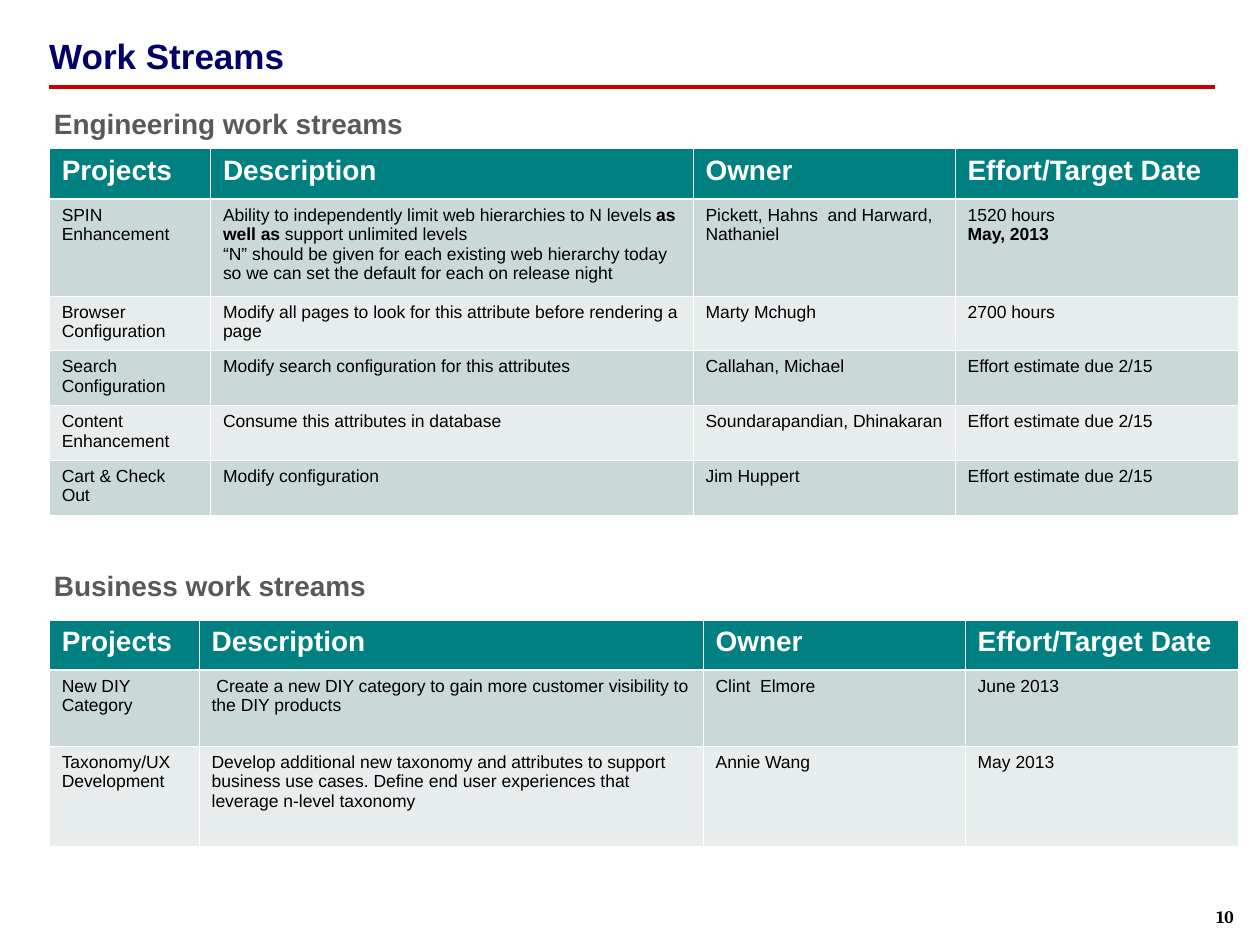
from lxml.etree import SubElement
from pptx import Presentation
from pptx.dml.color import RGBColor
from pptx.enum.shapes import MSO_CONNECTOR
from pptx.enum.text import MSO_ANCHOR, PP_ALIGN
from pptx.oxml.ns import qn
from pptx.util import Inches, Pt

NAVY = RGBColor(0x00, 0x00, 0x66)
RED = RGBColor(0xCC, 0x00, 0x00)
GRAY = RGBColor(0x59, 0x59, 0x59)
TEAL = RGBColor(0x00, 0x80, 0x80)
BAND_DARK = RGBColor(0xCB, 0xD8, 0xD8)
BAND_LIGHT = RGBColor(0xE7, 0xED, 0xED)
WHITE = RGBColor(0xFF, 0xFF, 0xFF)
BLACK = RGBColor(0x00, 0x00, 0x00)

THIN, THICK = 0.45, 1.47
BOLD_MARK = "**"
LEFT = 0.39
HEADERS = ["Projects", "Description", "Owner", "Effort/Target Date"]
ENGINEERING = [
    ["SPIN Enhancement",
     "Ability to independently limit web hierarchies to N levels **as well as** support unlimited levels\n"
     "“N” should be given for each existing web hierarchy today so we can set the default for each on release night",
     "Pickett, Hahns  and Harward, Nathaniel", "1520 hours\n**May, 2013**"],
    ["Browser Configuration", "Modify all pages to look for this attribute before rendering a page",
     "Marty Mchugh", "2700 hours"],
    ["Search Configuration", "Modify search configuration for this attributes",
     "Callahan, Michael", "Effort estimate due 2/15"],
    ["Content Enhancement", "Consume this attributes in database",
     "Soundarapandian, Dhinakaran", "Effort estimate due 2/15"],
    ["Cart & Check Out", "Modify configuration", "Jim Huppert", "Effort estimate due 2/15"],
]
BUSINESS = [
    ["New DIY Category",
     " Create a new DIY category to gain more customer visibility to the DIY products",
     "Clint  Elmore", "June 2013"],
    ["Taxonomy/UX Development",
     "Develop additional new taxonomy and attributes to support business use cases. "
     "Define end user experiences that leverage n-level taxonomy",
     "Annie Wang", "May 2013"],
]


def format_font(font, size, color, bold=True, name="Arial"):
    """Apply size, colour, weight and typeface to a font."""
    font.size = Pt(size)
    font.color.rgb = color
    font.bold = bold
    font.name = name


def set_text(text_frame, text, size, color, bold=True, name="Arial"):
    """Write the lines of text, with marked parts in bold."""
    text_frame.text = text.replace(BOLD_MARK, "")
    for paragraph, line in zip(text_frame.paragraphs, text.split("\n")):
        if BOLD_MARK in line:
            paragraph.text = ""
            for index, part in enumerate(line.split(BOLD_MARK)):
                if part:
                    run = paragraph.add_run()
                    run.text = part
                    format_font(run.font, size, color, index % 2 == 1, name)
        else:
            for run in paragraph.runs:
                format_font(run.font, size, color, bold, name)


def clear_margins(text_frame):
    """Remove the inner margins of a text frame."""
    text_frame.margin_left = text_frame.margin_right = 0
    text_frame.margin_top = text_frame.margin_bottom = 0


def add_title(slide, text):
    """Place the slide title in its placeholder."""
    title = slide.shapes.title
    title.left, title.top = Inches(LEFT), Inches(0.28)
    title.width, title.height = Inches(9.06), Inches(0.33)
    set_text(title.text_frame, text, 20, NAVY)
    clear_margins(title.text_frame)
    title.text_frame.vertical_anchor = MSO_ANCHOR.BOTTOM
    title.text_frame.paragraphs[0].alignment = PP_ALIGN.LEFT


def add_rule(slide):
    """Draw the red rule below the title."""
    rule = slide.shapes.add_connector(
        MSO_CONNECTOR.STRAIGHT, Inches(LEFT), Inches(0.69), Inches(9.64), Inches(0.69))
    rule.line.color.rgb = RED
    rule.line.width = Pt(2.25)
    SubElement(rule._element.spPr, qn("a:effectLst"))


def add_heading(slide, text, top):
    """Add the heading above a table."""
    heading = slide.shapes.add_textbox(Inches(0.33), Inches(top), Inches(6.42), Inches(0.37))
    heading.text_frame.word_wrap = True
    set_text(heading.text_frame, text, 16, GRAY)


def add_page_number(slide, number):
    """Add the page number in the bottom right corner."""
    box = slide.shapes.add_textbox(Inches(9.54), Inches(7.17), Inches(0.25), Inches(0.19))
    text_frame = box.text_frame
    text_frame.word_wrap = True
    clear_margins(text_frame)
    text_frame.vertical_anchor = MSO_ANCHOR.BOTTOM
    set_text(text_frame, number, 10, BLACK, name="Cambria")
    text_frame.paragraphs[0].alignment = PP_ALIGN.RIGHT


def set_borders(cell, top, bottom):
    """Give a cell white borders with the stated top and bottom widths."""
    properties = cell._tc.get_or_add_tcPr()
    for tag, width in (("a:lnL", THIN), ("a:lnR", THIN), ("a:lnT", top), ("a:lnB", bottom)):
        border = SubElement(properties, qn(tag), w=str(Pt(width)))
        fill = SubElement(border, qn("a:solidFill"))
        SubElement(fill, qn("a:srgbClr"), val=str(WHITE))


def add_stream_table(slide, top, widths, heights, streams):
    """Add a banded table of work streams."""
    rows = [HEADERS] + streams
    table = slide.shapes.add_table(
        len(rows), len(HEADERS), Inches(LEFT), Inches(top),
        Inches(sum(widths)), Inches(sum(heights))).table
    for column, width in zip(table.columns, widths):
        column.width = Inches(width)
    for index, (values, height) in enumerate(zip(rows, heights)):
        table.rows[index].height = Inches(height)
        is_header = index == 0
        band = BAND_DARK if index % 2 else BAND_LIGHT
        for cell, value in zip(table.rows[index].cells, values):
            set_borders(cell, THICK if index == 1 else THIN, THICK if is_header else THIN)
            cell.fill.solid()
            cell.fill.fore_color.rgb = TEAL if is_header else band
            set_text(cell.text_frame, value, 16 if is_header else 10,
                     WHITE if is_header else BLACK, is_header)


def main():
    """Build the work streams slide."""
    presentation = Presentation()
    presentation.slide_width, presentation.slide_height = Inches(10), Inches(7.5)
    slide = presentation.slides.add_slide(presentation.slide_layouts[5])
    add_rule(slide)
    add_page_number(slide, "10")
    add_title(slide, "Work Streams")
    add_stream_table(slide, 1.18, [1.28, 3.83, 2.08, 2.25], [0.4, 0.77] + [0.43] * 4, ENGINEERING)
    add_heading(slide, "Engineering work streams", 0.8)
    add_stream_table(slide, 4.92, [1.19, 4, 2.08, 2.17], [0.4, 0.6, 0.8], BUSINESS)
    add_heading(slide, "Business work streams", 4.46)
    presentation.save("out.pptx")


if __name__ == "__main__":
    main()
